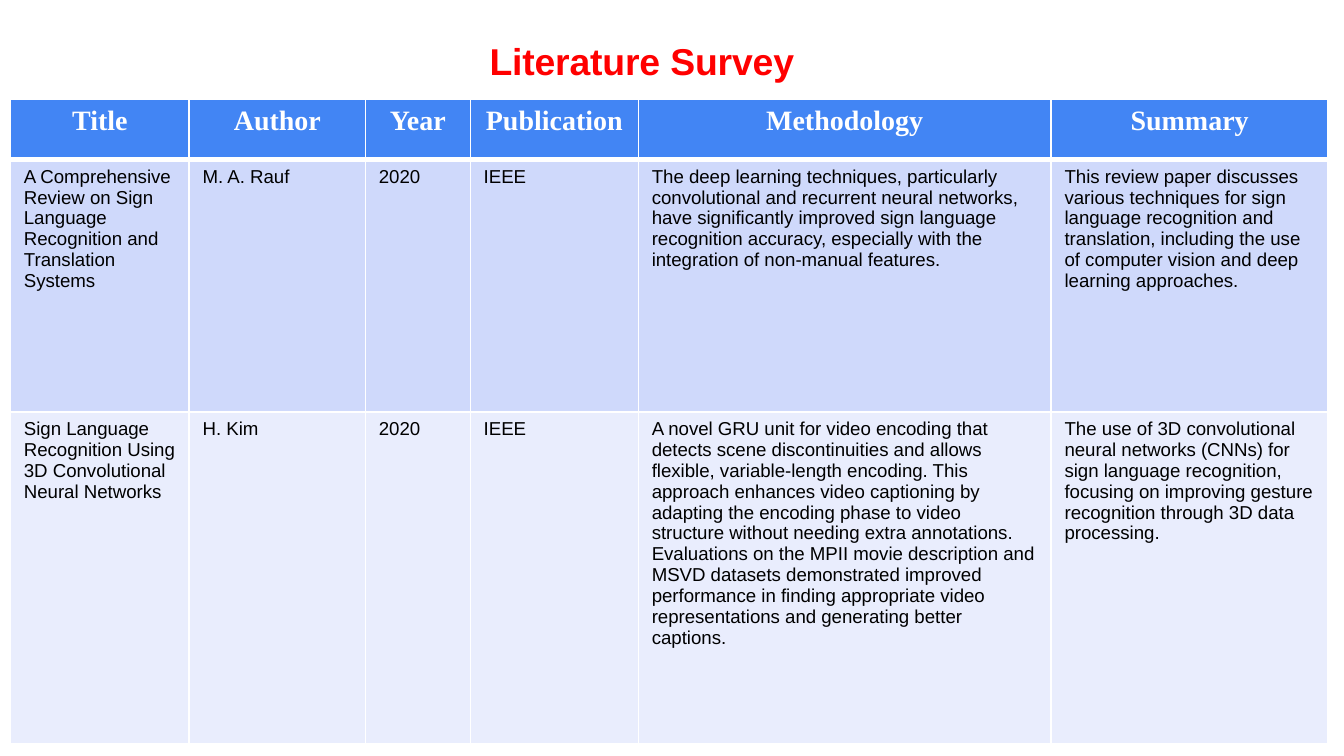
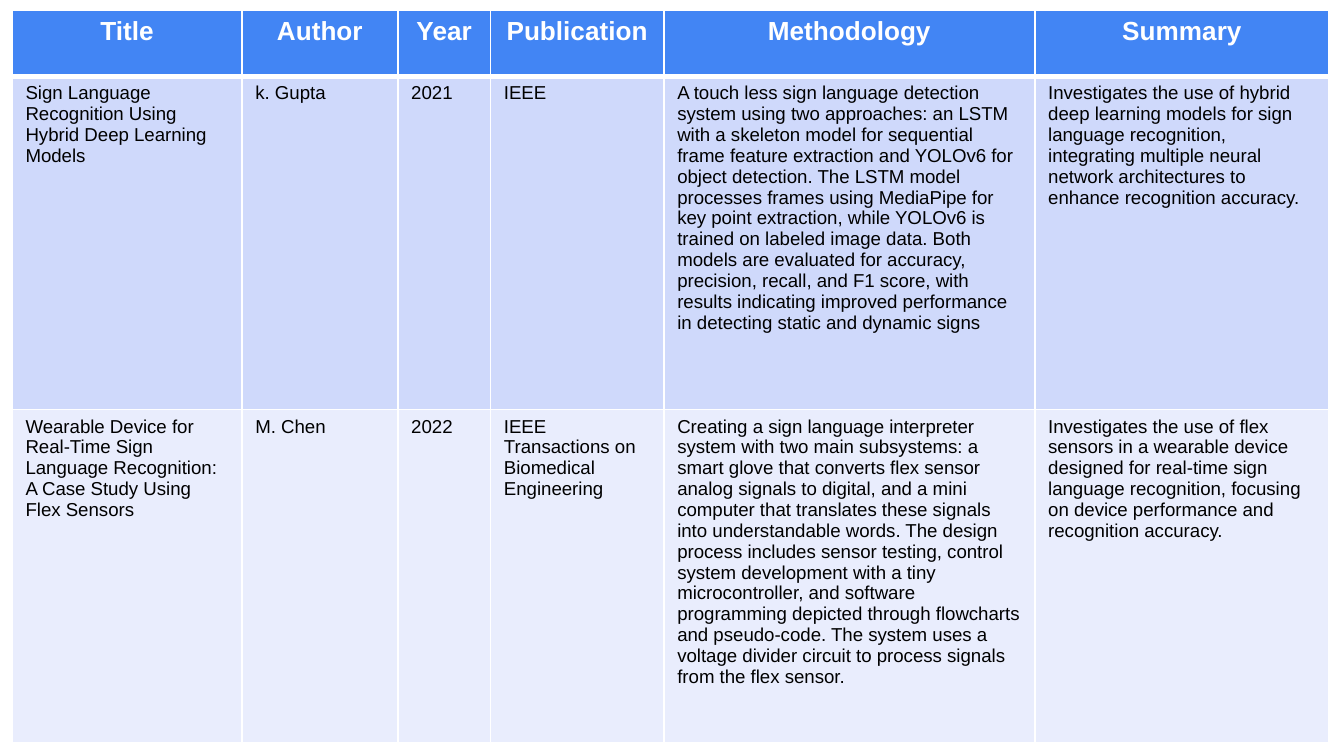
import pptx
import pptx.dml.color
import pptx.enum.text
import pptx.oxml.ns
import pptx.util
from lxml import etree

WIDTH = pptx.util.Inches(10)
HEIGHT = WIDTH * 9 // 16
TITLE_ONLY, BLANK = 5, 6
COLORS = {
    "title": "FF0000",
    "header": "4285F4",
    "header_text": "FFFFFF",
    "odd_row": "CFD9FB",
    "even_row": "E9EDFD",
    "body_text": "000000",
    "border": "FFFFFF",
}
FORMATS = {
    "title": {"name": "Arial", "size": pptx.util.Pt(20), "bold": True},
    "serif_header": {"name": "Times New Roman", "size": pptx.util.Pt(15), "bold": True},
    "sans_header": {"name": "Arial", "size": pptx.util.Pt(14), "bold": True},
    "body": {"name": "Arial", "size": pptx.util.Pt(10), "bold": False},
}
THIN, THICK = pptx.util.Pt(1), pptx.util.Pt(3)
CENTER = pptx.enum.text.PP_ALIGN.CENTER
LEFT = pptx.enum.text.PP_ALIGN.LEFT
HEADINGS = ["Title", "Author", "Year", "Publication", "Methodology", "Summary"]

FIRST_PAPERS = [
    [
        "A Comprehensive Review on Sign Language Recognition and Translation Systems",
        "M. A. Rauf",
        "2020",
        "IEEE",
        "The deep learning techniques, particularly convolutional and recurrent neural "
        "networks, have significantly improved sign language recognition accuracy, "
        "especially with the integration of non-manual features.",
        "This review paper discusses various techniques for sign language recognition "
        "and translation, including the use of computer vision and deep learning "
        "approaches.",
    ],
    [
        "Sign Language Recognition Using 3D Convolutional Neural Networks",
        "H. Kim",
        "2020",
        "IEEE",
        "A novel GRU unit for video encoding that detects scene discontinuities and "
        "allows flexible, variable-length encoding. This approach enhances video "
        "captioning by adapting the encoding phase to video structure without needing "
        "extra annotations. Evaluations on the MPII movie description and MSVD datasets "
        "demonstrated improved performance in finding appropriate video representations "
        "and generating better captions.",
        "The use of 3D convolutional neural networks (CNNs) for sign language "
        "recognition, focusing on improving gesture recognition through 3D data "
        "processing.",
    ],
]
SECOND_PAPERS = [
    [
        "Sign Language Recognition Using Hybrid Deep Learning Models",
        "k. Gupta",
        "2021",
        "IEEE",
        "A touch less sign language detection system using two approaches: an LSTM with "
        "a skeleton model for sequential frame feature extraction and YOLOv6 for object "
        "detection. The LSTM model processes frames using MediaPipe for key point "
        "extraction, while YOLOv6 is trained on labeled image data. Both models are "
        "evaluated for accuracy, precision, recall, and F1 score, with results "
        "indicating improved performance in detecting static and dynamic signs",
        "Investigates the use of hybrid deep learning models for sign language "
        "recognition, integrating multiple neural network architectures to enhance "
        "recognition accuracy.",
    ],
    [
        "Wearable Device for Real-Time Sign Language Recognition: A Case Study Using "
        "Flex Sensors",
        "M. Chen",
        "2022",
        "IEEE Transactions on Biomedical Engineering",
        "Creating a sign language interpreter system with two main subsystems: a smart "
        "glove that converts flex sensor analog signals to digital, and a mini computer "
        "that translates these signals into understandable words. The design process "
        "includes sensor testing, control system development with a tiny "
        "microcontroller, and software programming depicted through flowcharts and "
        "pseudo-code. The system uses a voltage divider circuit to process signals from "
        "the flex sensor.",
        "Investigates the use of flex sensors in a wearable device designed for "
        "real-time sign language recognition, focusing on device performance and "
        "recognition accuracy.",
    ],
]


def region(left, top, width, height):
    """Turn percentages of the slide into a box of lengths."""
    return [int(share * side / 100)
            for share, side in zip((left, top, width, height), (WIDTH, HEIGHT) * 2)]


def rgb(name):
    return pptx.dml.color.RGBColor.from_string(COLORS[name])


def write(text_frame, text, format_name, color, alignment):
    paragraph = text_frame.paragraphs[0]
    paragraph.alignment = alignment
    run = paragraph.add_run()
    run.text = text
    for attribute, value in FORMATS[format_name].items():
        setattr(run.font, attribute, value)
    run.font.color.rgb = rgb(color)
    return run


def add_borders(cell, top, bottom):
    """Draw the four cell borders; they must precede the fill in the XML."""
    properties = cell._tc.get_or_add_tcPr()
    widths = {"a:lnL": THIN, "a:lnR": THIN, "a:lnT": top, "a:lnB": bottom}
    for index, (tag, width) in enumerate(widths.items()):
        line = etree.Element(pptx.oxml.ns.qn(tag), w=str(int(width)))
        fill = etree.SubElement(line, pptx.oxml.ns.qn("a:solidFill"))
        etree.SubElement(fill, pptx.oxml.ns.qn("a:srgbClr"), val=COLORS["border"])
        properties.insert(index, line)


def set_title(slide, text, box):
    title = slide.shapes.title
    title.left, title.top, title.width, title.height = box
    frame = title.text_frame
    frame.word_wrap = True
    frame.vertical_anchor = pptx.enum.text.MSO_ANCHOR.MIDDLE
    for side in ("left", "top", "right", "bottom"):
        setattr(frame, f"margin_{side}", 0)
    run = write(frame, text, "title", "title", CENTER)
    run.font._element.set("spc", "-10")


def add_survey_table(slide, box, column_weights, row_weights, header_format, papers):
    rows = [HEADINGS] + papers
    table = slide.shapes.add_table(len(rows), len(HEADINGS), *box).table
    for column, weight in zip(table.columns, column_weights):
        column.width = int(box[2] * weight / sum(column_weights))
    for row, weight in zip(table.rows, row_weights):
        row.height = int(box[3] * weight / sum(row_weights))

    for row_index, texts in enumerate(rows):
        is_header = row_index == 0
        fill = "header" if is_header else ("even_row", "odd_row")[row_index % 2]
        style = ((header_format, "header_text", CENTER) if is_header
                 else ("body", "body_text", LEFT))
        for column_index, text in enumerate(texts):
            cell = table.cell(row_index, column_index)
            cell.fill.solid()
            cell.fill.fore_color.rgb = rgb(fill)
            add_borders(cell, top=THICK if row_index == 1 else THIN,
                        bottom=THICK if is_header else THIN)
            write(cell.text_frame, text, *style)


def main():
    presentation = pptx.Presentation()
    presentation.slide_width, presentation.slide_height = WIDTH, HEIGHT
    layouts = presentation.slide_layouts

    slide = presentation.slides.add_slide(layouts[TITLE_ONLY])
    set_title(slide, "Literature Survey", region(5, 4.1, 85.5, 7.8))
    add_survey_table(slide, region(0.78, 13.12, 98.05, 85.3),
                     [1.33, 1.31, 0.78, 1.25, 3.07, 2.06], [0.45, 1.88, 2.47],
                     "serif_header", FIRST_PAPERS)

    slide = presentation.slides.add_slide(layouts[BLANK])
    add_survey_table(slide, region(0.9, 1.38, 98, 96.9),
                     [1.71, 1.16, 0.69, 1.29, 2.76, 2.19], [0.49, 2.48, 2.48],
                     "sans_header", SECOND_PAPERS)

    presentation.save("out.pptx")


if __name__ == "__main__":
    main()
